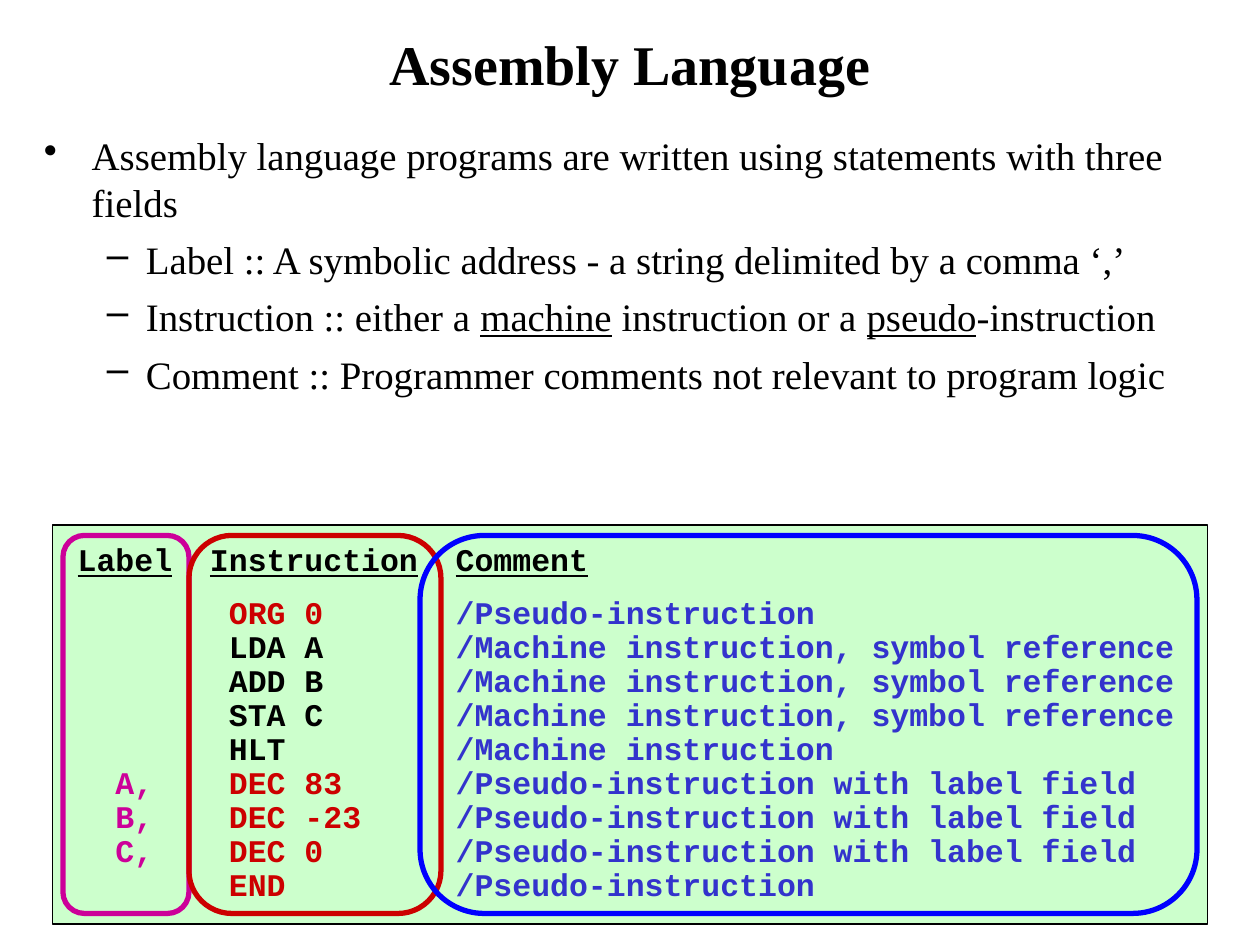
from dataclasses import dataclass

from lxml import etree
from pptx import Presentation
from pptx import util as u
from pptx.dml.color import RGBColor
from pptx.enum import shapes, text
from pptx.oxml.ns import qn


@dataclass(frozen=True)
class Theme:
    """Colours, fonts and type sizes of the slide."""
    ink: str = "000000"
    panel: str = "CCFFCC"
    label: str = "CC0099"
    pseudo: str = "CC0000"
    remark: str = "3333CC"
    remark_ring: str = "0000FF"
    serif: str = "Times New Roman"
    mono: str = "Courier New"
    title: float = 32
    body: float = 22.2
    code: float = 18


THEME = Theme()
COLUMNS, ROWS = 120, 90
CELL = u.Inches(10) // COLUMNS
CHARACTER = u.Inches(0.15)
HEADER_STOPS = (7, 20)
CODE_STOPS = (2, 8, 20)

BULLETS = [
    (0, ["Assembly language programs are written using statements with three fields"]),
    (1, ["Label :: A symbolic address - a string delimited by a comma ‘,’"]),
    (1, ["Instruction :: either a ", "machine", " instruction or a ", "pseudo", "-instruction"]),
    (1, ["Comment :: Programmer comments not relevant to program logic"]),
]
MACHINE, PSEUDO = "/Machine instruction", "/Pseudo-instruction"
PROGRAM = [
    ("", "ORG 0", PSEUDO),
    ("", "LDA A", MACHINE + ", symbol reference"),
    ("", "ADD B", MACHINE + ", symbol reference"),
    ("", "STA C", MACHINE + ", symbol reference"),
    ("", "HLT", MACHINE),
    ("A,", "DEC 83", PSEUDO + " with label field"),
    ("B,", "DEC -23", PSEUDO + " with label field"),
    ("C,", "DEC 0", PSEUDO + " with label field"),
    ("", "END", PSEUDO),
]
RINGS = [
    (6, 12, THEME.label),
    (18, 24, THEME.pseudo),
    (40, 74, THEME.remark_ring),
]


def cells(*counts):
    """Turn grid counts into lengths."""
    return [u.Emu(count * CELL) for count in counts]


def add_run(paragraph, words, size, font, color=THEME.ink, bold=False, underline=False):
    """Add one styled run to a paragraph."""
    run = paragraph.add_run()
    run.text = words
    run.font.size = u.Pt(size)
    run.font.name = font
    run.font.bold = bold
    run.font.underline = underline
    run.font.color.rgb = RGBColor.from_string(color)


def next_paragraph(frame, position):
    """Return the first paragraph of a frame, or a new one after it."""
    return frame.add_paragraph() if position else frame.paragraphs[0]


def set_bullet(paragraph, level):
    """Give a paragraph the hanging bullet of its level."""
    margin, hang, mark = [(0.38, 0.38, "•"), (0.81, 0.31, "–")][level]
    paragraph.level = level
    properties = paragraph._p.get_or_add_pPr()
    properties.set("marL", str(u.Inches(margin)))
    properties.set("indent", str(-u.Inches(hang)))
    etree.SubElement(properties, qn("a:buChar"), char=mark)


def set_tabs(paragraph, stops):
    """Place left tab stops at character columns."""
    tabs = etree.SubElement(paragraph._p.get_or_add_pPr(), qn("a:tabLst"))
    for stop in stops:
        etree.SubElement(tabs, qn("a:tab"), pos=str(stop * CHARACTER), algn="l")


def add_title(slide, words):
    """Add the centred slide title."""
    frame = slide.shapes.add_textbox(*cells(0, 0, COLUMNS, 12)).text_frame
    frame.word_wrap = True
    frame.vertical_anchor = text.MSO_ANCHOR.MIDDLE
    paragraph = frame.paragraphs[0]
    paragraph.alignment = text.PP_ALIGN.CENTER
    add_run(paragraph, words, THEME.title, THEME.serif, bold=True)


def add_bullets(slide, items):
    """Add the bulleted list, underlining every second part of an item."""
    frame = slide.shapes.add_textbox(*cells(3, 12, 114, 35)).text_frame
    frame.word_wrap = True
    for position, (level, parts) in enumerate(items):
        paragraph = next_paragraph(frame, position)
        set_bullet(paragraph, level)
        paragraph.space_before = u.Pt(6 if position else 0)
        for index, part in enumerate(parts):
            add_run(paragraph, part, THEME.body, THEME.serif, underline=index % 2 == 1)


def add_box(slide, kind, bounds, line, width, fill=None):
    """Add an outlined shape, filled only when a fill is given."""
    shape = slide.shapes.add_shape(kind, *cells(*bounds))
    shape.shadow.inherit = False
    shape.line.color.rgb = RGBColor.from_string(line)
    shape.line.width = u.Pt(width)
    if fill:
        shape.fill.solid()
        shape.fill.fore_color.rgb = RGBColor.from_string(fill)
    else:
        shape.fill.background()
    return shape


def add_code_line(frame, position, stops, space, runs):
    """Add one tabbed line of code to the listing."""
    paragraph = next_paragraph(frame, position)
    set_tabs(paragraph, stops)
    paragraph.alignment = text.PP_ALIGN.LEFT
    paragraph.line_spacing = 0.9
    paragraph.space_before = u.Pt(space)
    for words, color, underline in runs:
        add_run(paragraph, words, THEME.code, THEME.mono, color, True, underline)


def add_listing(slide, program):
    """Add the panel with the field names and the program."""
    panel = add_box(slide, shapes.MSO_SHAPE.RECTANGLE, (5, 50, 110, 38),
                    THEME.ink, 0.75, THEME.panel)
    frame = panel.text_frame
    frame.word_wrap = True
    frame.vertical_anchor = text.MSO_ANCHOR.TOP
    frame.margin_left = frame.margin_right = u.Inches(0.2)
    frame.margin_top = frame.margin_bottom = u.Inches(0.15)
    header = [("Label", True), ("\t", False), ("Instruction", True), ("\t", False), ("Comment", True)]
    add_code_line(frame, 0, HEADER_STOPS, 0, [(words, THEME.ink, line) for words, line in header])
    for position, (label, instruction, remark) in enumerate(program, 1):
        color = THEME.pseudo if remark.startswith(PSEUDO) else THEME.ink
        fields = [(label, THEME.label), (instruction, color), (remark, THEME.remark)]
        runs = [("\t" + words, tint, False) for words, tint in fields]
        add_code_line(frame, position, CODE_STOPS, 11.2 if position == 1 else 0, runs)


def add_rings(slide, rings):
    """Circle each field of the listing."""
    for left, width, color in rings:
        ring = add_box(slide, shapes.MSO_SHAPE.ROUNDED_RECTANGLE, (left, 51, width, 36), color, 3)
        ring.adjustments[0] = 0.17


def main():
    """Build the slide and save it."""
    presentation = Presentation()
    presentation.slide_width, presentation.slide_height = cells(COLUMNS, ROWS)
    slide = presentation.slides.add_slide(presentation.slide_layouts[6])
    add_title(slide, "Assembly Language")
    add_bullets(slide, BULLETS)
    add_listing(slide, PROGRAM)
    add_rings(slide, RINGS)
    presentation.save("out.pptx")


if __name__ == "__main__":
    main()
